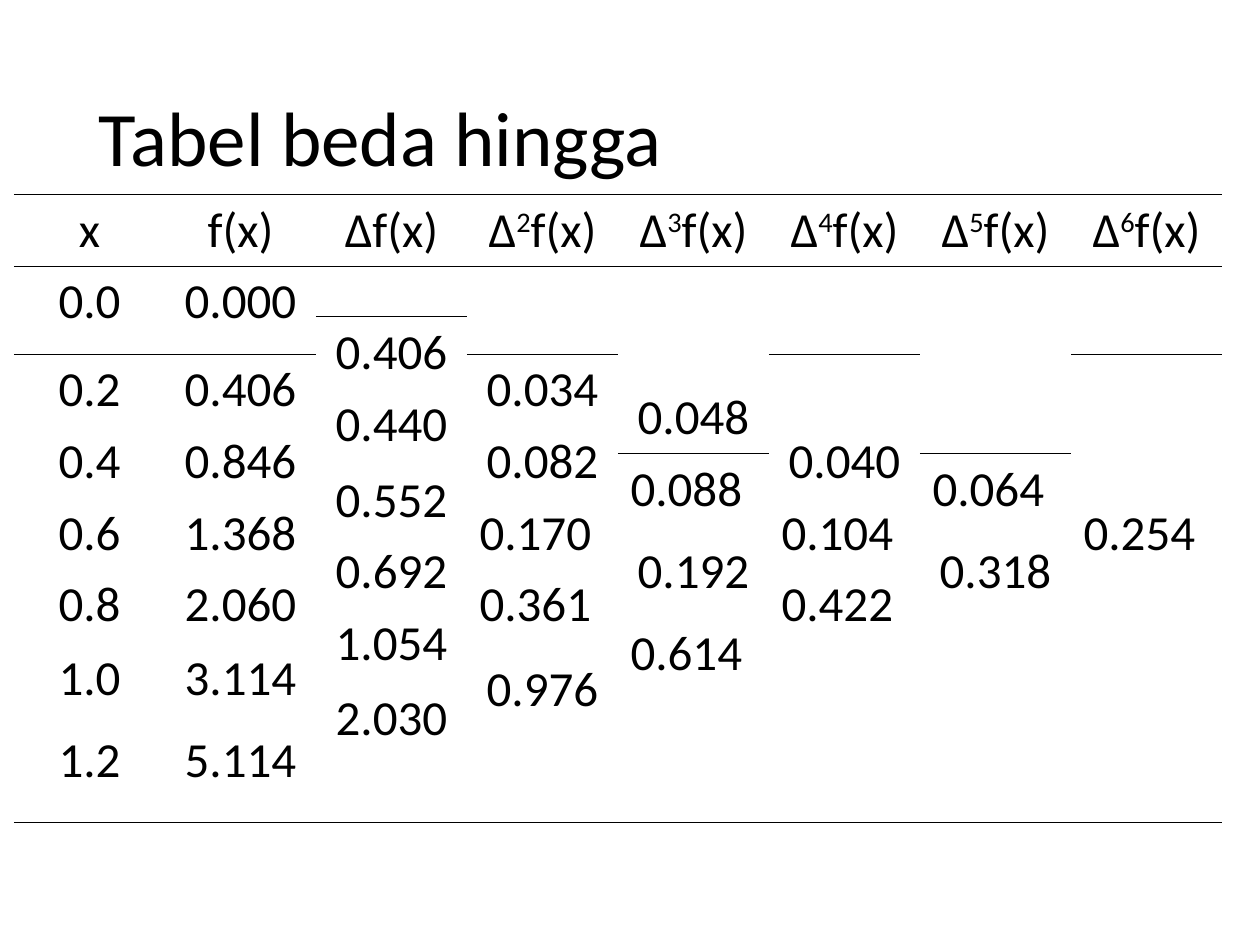
from dataclasses import dataclass

from lxml.etree import SubElement
from pptx import Presentation
from pptx.dml.color import RGBColor
from pptx.enum.text import MSO_ANCHOR, PP_ALIGN
from pptx.oxml.ns import qn
from pptx.util import Pt


@dataclass(frozen=True)
class Theme:
    font: str = "Calibri"
    ink: str = "000000"
    title_size: int = 44
    table_size: int = 28
    rule_width: float = 0.45


theme = Theme()
NO_TABLE_STYLE = "{2D5ABB26-0587-4C30-8999-92F81FD0307C}"


def format_runs(paragraph, size):
    for run in paragraph.runs:
        run.font.name = theme.font
        run.font.size = Pt(size)
        run.font.color.rgb = RGBColor.from_string(theme.ink)


def add_rule(cell, side):
    line = SubElement(cell._tc.get_or_add_tcPr(), qn(f"a:{side}"),
                      w=str(Pt(theme.rule_width)))
    fill = SubElement(line, qn("a:solidFill"))
    SubElement(fill, qn("a:srgbClr"), val=theme.ink)


presentation = Presentation()
presentation.slide_width = Pt(720)
presentation.slide_height = Pt(540)
slide = presentation.slides.add_slide(presentation.slide_layouts[6])

# Title
title = slide.shapes.add_textbox(Pt(49.5), Pt(29), Pt(621), Pt(104))
title.text_frame.word_wrap = True
title.text_frame.vertical_anchor = MSO_ANCHOR.MIDDLE
title.text_frame.text = "Tabel beda hingga"
title.text_frame.paragraphs[0].line_spacing = 0.9
format_runs(title.text_frame.paragraphs[0], theme.title_size)

# Table grid
row_heights = [41, 19.5, 21.5, 19.5, 21.5, 16, 6, 18.5, 21.5,
               18.5, 21.5, 6, 14.5, 6, 16.5, 24, 27, 20]
last_row = len(row_heights) - 1
column_count = 8
table_frame = slide.shapes.add_table(len(row_heights), column_count, Pt(8), Pt(111),
                                     Pt(690.4), Pt(sum(row_heights)))
table = table_frame.table
table.first_row = False
table.horz_banding = False
table._tbl.tblPr.find(qn("a:tableStyleId")).text = NO_TABLE_STYLE
for column in table.columns:
    column.width = Pt(86.3)
for row, height in zip(table.rows, row_heights):
    row.height = Pt(height)

# Header row: the order of each difference is a superscript
headers = [["x"], ["f(x)"], ["Δf(x)"]]
headers += [["Δ", str(order), "f(x)"] for order in range(2, 7)]
for column, parts in enumerate(headers):
    paragraph = table.cell(0, column).text_frame.paragraphs[0]
    paragraph.alignment = PP_ALIGN.CENTER
    for part in parts:
        paragraph.add_run().text = part
    format_runs(paragraph, theme.table_size)
    if len(parts) == 3:
        paragraph.runs[1].font._element.set("baseline", "30000")

# Row spans and values of each column, from below the header down
value_spans = [2, 2, 3, 2, 3, 3, 2]
first_spans = [1, 2, 3, 2, 2, 4, 2, 1]
even_spans = [2, 2, 3, 2, 4, 2, 2]
odd_spans = [5, 3, 3, 6]
columns = [
    (value_spans, ["0.0", "0.2", "0.4", "0.6", "0.8", "1.0", "1.2"]),
    (value_spans, ["0.000", "0.406", "0.846", "1.368", "2.060", "3.114", "5.114"]),
    (first_spans, ["", "0.406", "0.440", "0.552", "0.692", "1.054", "2.030", ""]),
    (even_spans, ["", "0.034", "0.082", "0.170", "0.361", "0.976", ""]),
    (odd_spans, ["0.048", "0.088", "0.192", "0.614"]),
    (even_spans, ["", "", "0.040", "0.104", "0.422", "", ""]),
    (odd_spans, ["", "0.064", "0.318", ""]),
    (even_spans, ["", "", "", "0.254", "", "", ""]),
]
left_aligned_rows = {6, 8, 10, 12}
for column, (spans, values) in enumerate(columns):
    top = 1
    for span, value in zip(spans, values):
        cell = table.cell(top, column)
        if span > 1:
            cell.merge(table.cell(top + span - 1, column))
        if value:
            cell.text_frame.text = value
            paragraph = cell.text_frame.paragraphs[0]
            is_left = column > 2 and top in left_aligned_rows
            paragraph.alignment = PP_ALIGN.LEFT if is_left else PP_ALIGN.CENTER
            format_runs(paragraph, theme.table_size)
        if span == odd_spans[0]:
            cell.vertical_anchor = MSO_ANCHOR.BOTTOM
        if top < last_row < top + span:
            add_rule(cell, "lnB")
        top += span

# Rules around the header and under the last row
for column in range(column_count):
    add_rule(table.cell(0, column), "lnT")
    add_rule(table.cell(0, column), "lnB")
    add_rule(table.cell(1, column), "lnT")
    add_rule(table.cell(last_row, column), "lnB")
for cell in table.iter_cells():
    cell.fill.background()

presentation.save("out.pptx")
